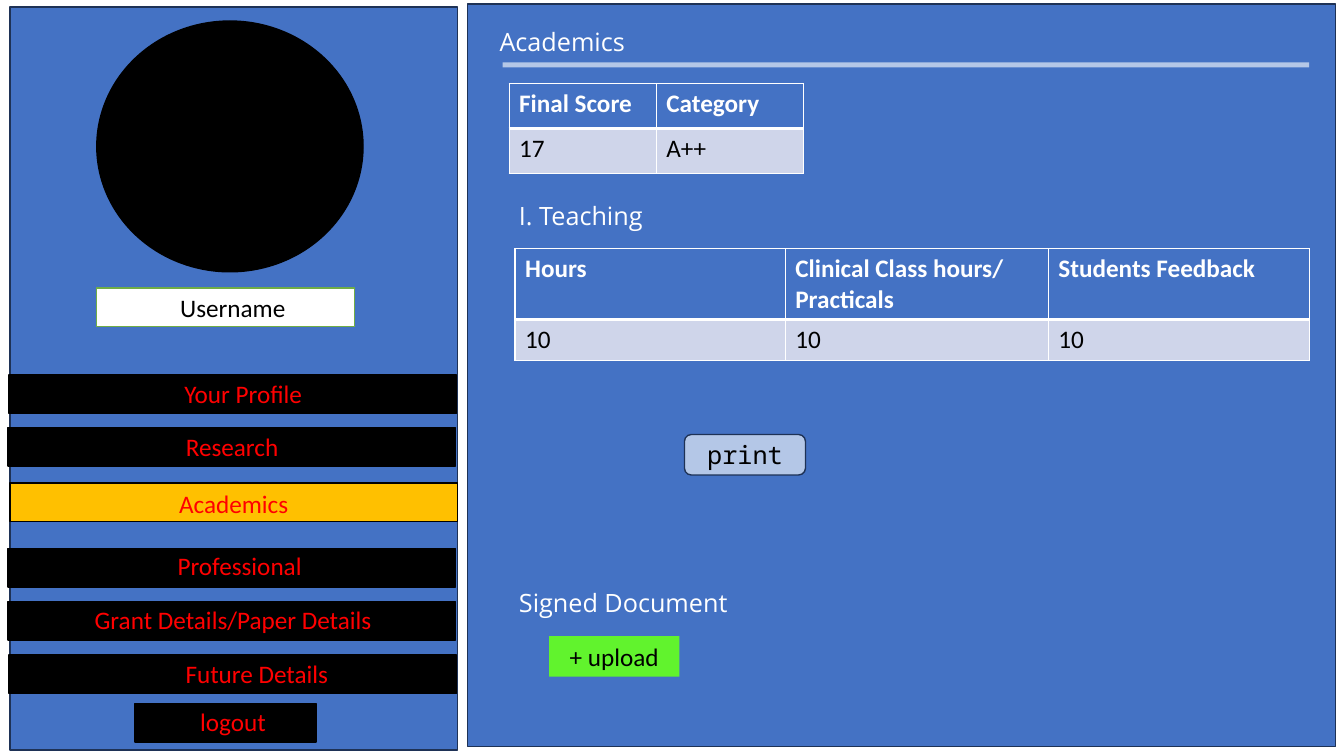
from dataclasses import dataclass

from lxml import etree
from pptx import Presentation
from pptx import util as u
from pptx.dml.color import RGBColor
from pptx.enum import shapes, text
from pptx.oxml import ns


@dataclass
class Theme:
    """Colours, fonts and type sizes of the slide."""
    blue: str = "4472C4"
    navy: str = "1E3256"
    pale: str = "B4C7E7"
    mist: str = "CFD5EA"
    black: str = "000000"
    white: str = "FFFFFF"
    red: str = "FF0000"
    gold: str = "FFC000"
    leaf: str = "70AD47"
    lime: str = "61F32D"
    body: str = "Calibri"
    head: str = "Open Sans"
    mono: str = "Noto Sans Mono"
    size: int = 18


class Page:
    """Draws styled elements on the current slide."""

    def __init__(self, slide, theme):
        self.slide = slide
        self.theme = theme

    def words(self, frame, line, color, font=None, bold=False, mid=False):
        """Put one styled run into a text frame."""
        para = frame.paragraphs[0]
        para.alignment = text.PP_ALIGN.CENTER if mid else text.PP_ALIGN.LEFT
        run = para.add_run()
        run.text = line
        run.font.name = font or self.theme.body
        run.font.size = u.Pt(self.theme.size)
        run.font.bold = bold
        run.font.color.rgb = RGBColor.from_string(color)

    def shape(self, box, fill, line=None, kind="RECTANGLE"):
        """Add a filled preset shape."""
        form = self.slide.shapes.add_shape(
            shapes.MSO_SHAPE[kind], *map(u.Cm, box))
        form.shadow.inherit = False
        form.fill.solid()
        form.fill.fore_color.rgb = RGBColor.from_string(fill)
        if line:
            form.line.color.rgb = RGBColor.from_string(line)
            form.line.width = u.Pt(1)
        else:
            form.line.fill.background()
        return form

    def label(self, left, top, width, line, color, font=None, mid=False):
        """Add a one-line text box."""
        box = self.slide.shapes.add_textbox(
            *map(u.Cm, (left, top, width, 1.02)))
        box.text_frame.word_wrap = True
        self.words(box.text_frame, line, color, font, mid=mid)

    def button(self, box, name, fill, font=None, **look):
        """Add a shape with centred text."""
        form = self.shape(box, fill, **look)
        form.text_frame.word_wrap = True
        form.text_frame.vertical_anchor = text.MSO_ANCHOR.MIDDLE
        self.words(form.text_frame, name, self.theme.black, font, mid=True)

    def edge(self, cell, side, width):
        """Draw one white border of a cell."""
        props = cell._tc.get_or_add_tcPr()
        line = etree.SubElement(props, ns.qn(f"a:ln{side}"), w=str(u.Pt(width)))
        fill = etree.SubElement(line, ns.qn("a:solidFill"))
        etree.SubElement(fill, ns.qn("a:srgbClr"), val=self.theme.white)

    def table(self, left, top, cols, rows, data):
        """Add a table with a bold header row."""
        t = self.theme
        grid = self.slide.shapes.add_table(
            len(rows), len(cols),
            *map(u.Cm, (left, top, sum(cols), sum(rows)))).table
        grid.horz_banding = False
        for col, width in zip(grid.columns, cols):
            col.width = u.Cm(width)
        for r, (row, high) in enumerate(zip(data, rows)):
            grid.rows[r].height = u.Cm(high)
            first = r == 0
            for c, value in enumerate(row):
                cell = grid.cell(r, c)
                for side in "LRTB":
                    self.edge(cell, side, 3 if first and side == "B" else 1)
                cell.fill.solid()
                cell.fill.fore_color.rgb = RGBColor.from_string(
                    t.blue if first else t.mist)
                self.words(cell.text_frame, value,
                           t.white if first else t.black, bold=first)


def main():
    """Build and save the slide."""
    deck = Presentation()
    deck.slide_width, deck.slide_height = u.Cm(33.87), u.Cm(19.05)
    t = Theme()
    page = Page(deck.slides.add_slide(deck.slide_layouts[6]), t)

    page.shape((0.25, 0.18, 11.28, 18.72), t.blue, t.navy)
    page.shape((11.79, 0.1, 21.87, 18.72), t.blue, t.navy)
    page.shape((2.44, 0.53, 6.71, 6.32), t.black, t.black, "OVAL")
    page.shape((2.44, 7.26, 6.5, 0.97), t.white, t.leaf)
    page.label(4.29, 7.24, 3.68, "Username", t.black)

    menu = [
        ("Your Profile", (0.23, 9.45, 11.28), (3.68, 9.4, 4.9)),
        ("Research", (0.2, 10.77, 11.28), (4.29, 10.74, 3.12)),
        ("Academics", (0.25, 12.17, 11.28), (4.19, 12.19, 3.4)),
        ("Professional", (0.2, 13.82, 11.28), (4.11, 13.74, 3.86)),
        ("Grant Details/Paper Details", (0.2, 15.16, 11.28),
         (0.53, 15.11, 10.69)),
        ("Future Details", (0.23, 16.51, 11.28), (4.19, 16.46, 4.57)),
        ("logout", (3.4, 17.73, 4.57), (4.17, 17.68, 3.4)),
    ]
    for name, bar, spot in menu:
        fill = t.gold if name == "Academics" else t.black
        page.shape((*bar, 0.97), fill, t.black)
        page.label(*spot, name, t.red, mid=True)

    page.shape((12.67, 1.57, 20.32, 0.13), t.pale)
    for left, top, name in [(12.34, 0.53, "Academics"),
                            (12.83, 4.93, "I. Teaching"),
                            (12.83, 14.68, "Signed Document")]:
        page.label(left, top, 5.94, name, t.white, t.head)

    page.table(12.83, 2.11, [3.71, 3.71], [1.13, 1.13],
               [["Final Score", "Category"], ["17", "A++"]])
    page.table(12.98, 6.27, [6.81, 6.63, 6.58], [1.78, 1.04],
               [["Hours", "Clinical Class hours/ Practicals",
                 "Students Feedback"], ["10", "10", "10"]])

    page.button((13.84, 16.03, 3.28, 1.02), "+ upload", t.lime)
    page.button((17.25, 10.95, 3.05, 1.02), "print", t.pale, t.mono,
                line=t.navy, kind="ROUNDED_RECTANGLE")
    deck.save("out.pptx")


if __name__ == "__main__":
    main()
